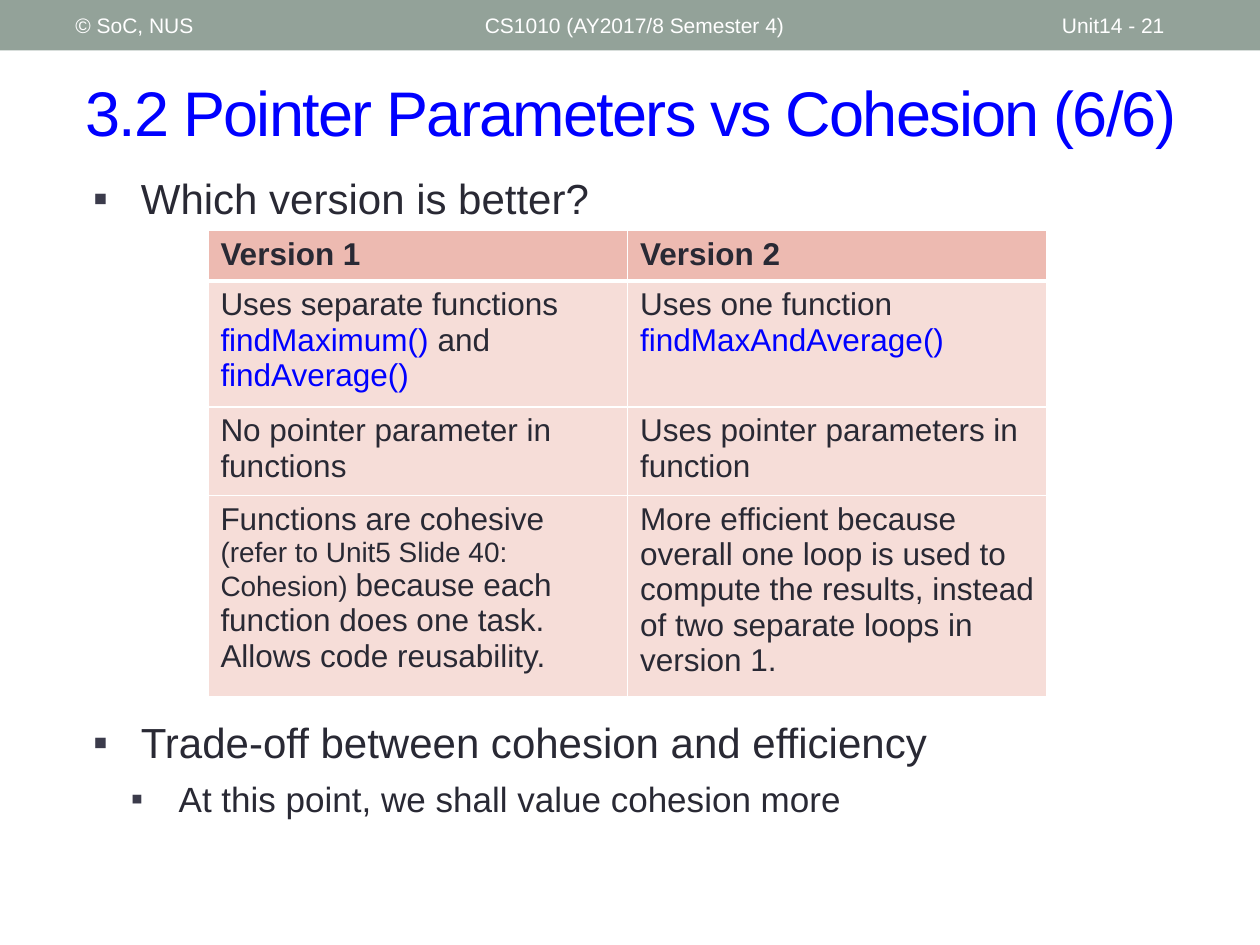
from lxml.etree import SubElement
from pptx import Presentation
from pptx.dml.color import RGBColor
from pptx.enum.shapes import MSO_SHAPE as Shape
from pptx.enum.text import MSO_ANCHOR as Anchor
from pptx.oxml.ns import qn
from pptx.util import Inches, Pt

FONT = "Arial"
DARK, BLUE, WHITE = "292934", "0000FF", "FFFFFF"
BAND, HEAD_FILL, BODY_FILL, BULLET = "93A299", "EDBAB1", "F6DDD8", "3B3B4B"
SLIDE_W, SLIDE_H = 10, 7.5

# Content: a span is (text, size, colour)
TITLE = "3.2 Pointer Parameters vs Cohesion (6/6)"
HEADER = [  # left, width, text
    (0.5, 3.17, "© SoC, NUS"),
    (3.75, 4.5, "CS1010 (AY2017/8 Semester 4)"),
    (8.33, 1.17, "Unit14 - 21"),
]
BULLETS = [  # top, height, (level, text) items
    (1.32, 0.51, [(0, "Which version is better?")]),
    (5.64, 0.99, [(0, "Trade-off between cohesion and efficiency"),
                  (1, "At this point, we shall value cohesion more")]),
]
LEVELS = [(0.38, 24), (0.68, 20)]  # left margin, text size
ROWS = [  # height, cells
    (0.4, [[("Version 1", 18, DARK)], [("Version 2", 18, DARK)]]),
    (0.94, [[("Uses separate functions ", 18, DARK), ("findMaximum() ", 18, BLUE),
             ("and ", 18, DARK), ("findAverage()", 18, BLUE)],
            [("Uses one function ", 18, DARK), ("findMaxAndAverage()", 18, BLUE)]]),
    (0.66, [[("No pointer parameter in functions", 18, DARK)],
            [("Uses pointer parameters in function", 18, DARK)]]),
    (1.5, [[("Functions are cohesive ", 18, DARK),
            ("(refer to Unit5 Slide 40: Cohesion) ", 16, DARK),
            ("because each function does one task. Allows code reusability.", 18, DARK)],
           [("More efficient because overall one loop is used to compute the results, "
             "instead of two separate loops in version 1.", 18, DARK)]]),
]


def rgb(value):
    return RGBColor.from_string(value)


def style(font, size, colour, bold=False):
    font.name, font.size, font.bold = FONT, Pt(size), bold
    font.color.rgb = rgb(colour)


def add_text(page, left, top, width, height, anchor=Anchor.TOP):
    frame = page.shapes.add_textbox(*map(Inches, (left, top, width, height))).text_frame
    frame.word_wrap = True
    frame.vertical_anchor = anchor
    return frame


def add_bullet(para, level):
    margin, size = LEVELS[level]
    para.level = level
    props = para._p.get_or_add_pPr()
    props.set("marL", str(Inches(margin)))
    props.set("indent", str(-Inches(LEVELS[0][0])))
    colour = SubElement(props, qn("a:buClr"))
    SubElement(colour, qn("a:srgbClr"), val=BULLET)
    SubElement(props, qn("a:buFont"), typeface=FONT)
    SubElement(props, qn("a:buChar"), char="▪")
    style(para.runs[0].font, size, DARK)


def add_borders(cell, bottom):
    props = cell._tc.get_or_add_tcPr()
    for side, points in (("L", 1), ("R", 1), ("T", 1), ("B", bottom)):
        line = SubElement(props, qn(f"a:ln{side}"), w=str(Pt(points)))
        fill = SubElement(line, qn("a:solidFill"))
        SubElement(fill, qn("a:srgbClr"), val=WHITE)


def add_comparison(page):
    height = sum(row_height for row_height, _ in ROWS)
    table = page.shapes.add_table(
        len(ROWS), 2, Inches(1.65), Inches(1.83), Inches(6.66), Inches(height)).table
    for r, (row_height, cells) in enumerate(ROWS):
        table.rows[r].height = Inches(row_height)
        is_head = r == 0
        for c, spans in enumerate(cells):
            cell = table.cell(r, c)
            # The rule under the heading row is shared by the cells below it
            add_borders(cell, 3 if is_head else 1)
            if r == 1:
                cell._tc.tcPr.find(qn("a:lnT")).set("w", str(Pt(3)))
            cell.fill.solid()
            cell.fill.fore_color.rgb = rgb(HEAD_FILL if is_head else BODY_FILL)
            para = cell.text_frame.paragraphs[0]
            for text, size, colour in spans:
                span = para.add_run()
                span.text = text
                style(span.font, size, colour, is_head)


def main():
    deck = Presentation()
    deck.slide_width, deck.slide_height = Inches(SLIDE_W), Inches(SLIDE_H)
    page = deck.slides.add_slide(deck.slide_layouts[6])

    # Header band and its three labels
    band = page.shapes.add_shape(Shape.RECTANGLE, 0, 0, Inches(SLIDE_W), Inches(0.4))
    band.shadow.inherit = False
    band.fill.solid()
    band.fill.fore_color.rgb = rgb(BAND)
    band.line.fill.background()
    for left, width, text in HEADER:
        frame = add_text(page, left, 0.02, width, 0.36, Anchor.MIDDLE)
        frame.text = text
        style(frame.paragraphs[0].runs[0].font, 12, WHITE)

    # Title, with tightened letters
    frame = add_text(page, 0.58, 0.42, 9.17, 0.92, Anchor.MIDDLE)
    frame.text = TITLE
    span = frame.paragraphs[0].runs[0]
    style(span.font, 36, BLUE)
    span._r.get_or_add_rPr().set("spc", "-100")

    # Bulleted text above and below the table
    for top, height, items in BULLETS:
        frame = add_text(page, 0.64, top, 9, height)
        frame.text = "\n".join(text for _, text in items)
        for i, (para, (level, _)) in enumerate(zip(frame.paragraphs, items)):
            add_bullet(para, level)
            para.space_before = Pt(6 if i else 0)

    add_comparison(page)
    deck.save("out.pptx")


if __name__ == "__main__":
    main()
